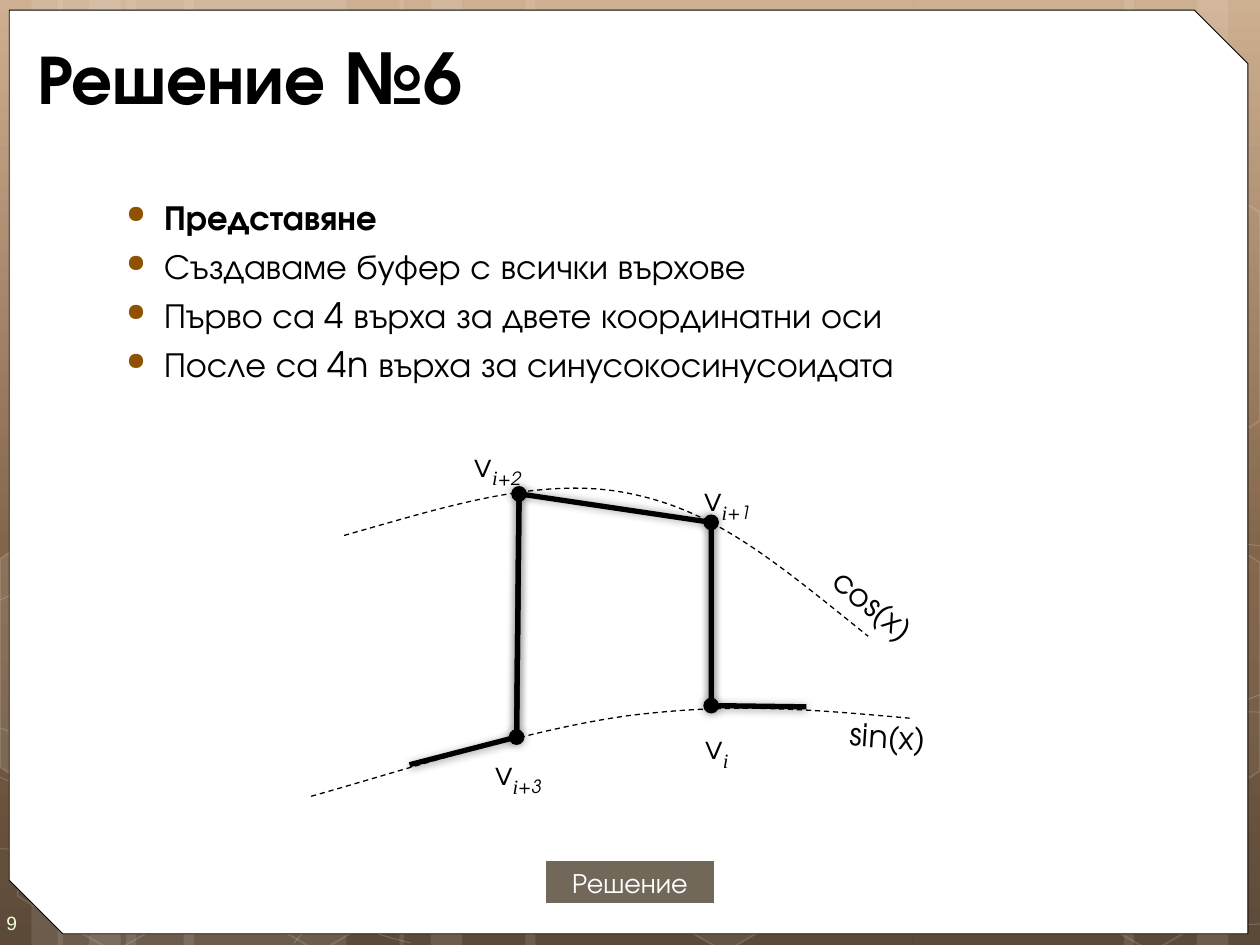
import pptx
import pptx.dml.color
import pptx.enum.dml
import pptx.enum.shapes
import pptx.enum.text
import pptx.oxml.ns
import pptx.util
from lxml import etree

Pt = pptx.util.Pt
qn = pptx.oxml.ns.qn
RGB = pptx.dml.color.RGBColor.from_string
SHAPE = pptx.enum.shapes.MSO_SHAPE
ALIGN = pptx.enum.text.PP_ALIGN
MIDDLE = pptx.enum.text.MSO_ANCHOR.MIDDLE
FIT = pptx.enum.text.MSO_AUTO_SIZE
FONT = "TeX Gyre Adventor"
PAGE_WIDTH, PAGE_HEIGHT = 720, 540
COLORS = {"white": "FFFFFF", "ink": "000000", "bullet": "8F5201", "button": "71685A",
          "number": "EEFFD6", "top": "C8A685", "middle": "705032", "bottom": "4A3622"}


def style(shape, fill=None, line=None, width=1, fill_alpha=100, line_alpha=100):
    """Set fill, outline and their opacity in percent; None means no paint."""
    shape.shadow.inherit = False
    shape.line.width = Pt(width)
    for paint, color, alpha in ((shape.fill, fill, fill_alpha),
                                (shape.line.fill, line, line_alpha)):
        if color is None:
            paint.background()
            continue
        paint.solid()
        paint.fore_color.rgb = RGB(COLORS[color])
        if alpha < 100:
            props = shape.element.spPr
            parent = props if paint is shape.fill else props.find(qn("a:ln"))
            tint = parent.find(qn("a:solidFill")).find(qn("a:srgbClr"))
            etree.SubElement(tint, qn("a:alpha")).set("val", str(alpha * 1000))
    return shape


def trace(points, curved=False, closed=False):
    """Draw an outline; when curved, each three further points make a Bezier."""
    start, *others = [(Pt(x), Pt(y)) for x, y in points]
    builder = page.shapes.build_freeform(*start, scale=1.0)
    builder.add_line_segments(others, close=closed)
    shape = builder.convert_to_shape()
    if curved:
        outline = shape.element.spPr.find(".//" + qn("a:path"))
        steps = outline.findall(qn("a:lnTo"))
        for first in range(0, len(steps), 3):
            bezier = etree.SubElement(outline, qn("a:cubicBezTo"))
            for step in steps[first:first + 3]:
                bezier.append(step[0])
                outline.remove(step)
    return shape


deck = pptx.Presentation()
deck.slide_width, deck.slide_height = Pt(PAGE_WIDTH), Pt(PAGE_HEIGHT)
page = deck.slides.add_slide(deck.slide_layouts[5])
lettering = []  # (span, size, color, font name), formatted together at the end

# Background gradient, top to bottom
backdrop = page.background.fill
backdrop.gradient()
backdrop.gradient_angle = 270
stops = page.element.find(".//" + qn("a:gsLst"))
for old_stop in list(stops):
    stops.remove(old_stop)
for percent, name in ((0, "top"), (62, "middle"), (100, "bottom")):
    stop = etree.SubElement(stops, qn("a:gs"))
    stop.set("pos", str(percent * 1000))
    etree.SubElement(stop, qn("a:srgbClr")).set("val", COLORS[name])

# Stripes: one set of three, repeated along the page and mirrored at the right
for origin, wide, mirrored in ((0, 126, False), (33, 126, False),
                               (0, 126, True), (228.2, 221.8, False)):
    for offset, width in ((72, wide), (0, 36), (18, 59.8)):
        left = origin + offset
        if mirrored:
            left = PAGE_WIDTH - left - width
        stripe = page.shapes.add_shape(SHAPE.RECTANGLE, Pt(left), 0, Pt(width), Pt(PAGE_HEIGHT))
        style(stripe, "white", fill_alpha=10)

# Faint waves from edge to edge: start, two control points, end
for wave in (((0, 485), (240, 496), (560, 460), (720, 397)),
             ((0, 343), (240, 230), (480, 280), (720, 312)),
             ((0, 444), (85, 484), (172, 523), (235, 539)),
             ((0, 416), (240, 500), (480, 540), (720, 528)),
             ((168, 539), (280, 400), (480, 400), (720, 407))):
    style(trace(wave, curved=True), line="white", width=0.5, line_alpha=20)

# Whole hexagons along the bottom
for left, fill in ((2, None), (119, None), (351, "white"), (595, None)):
    hexagon = page.shapes.add_shape(SHAPE.HEXAGON, Pt(left), Pt(426), Pt(126), Pt(109.4))
    hexagon.adjustments[0] = 0.285
    hexagon.rotation = 30
    style(hexagon, fill, "white", fill_alpha=6, line_alpha=12)

# Hexagons cut by a side of the page: (distance from that side, depth)
cut_profile = ((0, 4), (6, 0), (61, 32), (61, 95), (6, 127), (0, 123))
for side, inward, top, fill, alpha in ((0, 1, 315.4, "white", 10),
                                       (PAGE_WIDTH, -1, 317.5, "white", 4),
                                       (PAGE_WIDTH, -1, 117.4, None, 100)):
    corners = [(side + inward * distance, top + depth) for distance, depth in cut_profile]
    style(trace(corners, closed=True), fill, "white", fill_alpha=alpha, line_alpha=12)

# White panel with two snipped corners
panel = page.shapes.add_shape(SHAPE.SNIP_2_DIAG_RECTANGLE,
                              Pt(5.3), Pt(5.8), Pt(707.8), Pt(527.8))
panel.adjustments[0], panel.adjustments[1] = 0, 0.058
style(panel, "white", "ink", 0.5)

# Title, raised above the panel
title = page.shapes.title
panel.element.addnext(title.element)
title.left, title.top, title.width, title.height = Pt(14), Pt(18), Pt(682), Pt(51)
title.text_frame.text = "Решение №6"
title.text_frame.vertical_anchor = MIDDLE
title.text_frame.auto_size = FIT.NONE
heading = title.text_frame.paragraphs[0]
heading.alignment = ALIGN.LEFT
heading.runs[0].font.bold = True
lettering.append((heading.runs[0], 40, "ink", FONT))

# Subheading, then bullets
body = page.shapes.add_textbox(Pt(36.3), Pt(108), Pt(678), Pt(426)).text_frame
body.word_wrap = True
body.text = "\n".join(("Представяне",
                       "Създаваме буфер с всички върхове",
                       "Първо са 4 върха за двете координатни оси",
                       "После са 4n върха за синусокосинусоидата"))
subheading, *bullets = body.paragraphs
subheading.runs[0].font.bold = True
for para in body.paragraphs:
    is_bullet = para is not subheading
    size, margin, indent = (20, 50.4, -21.6) if is_bullet else (28, 5, 0)
    para.space_before = Pt(size * 0.2)
    lettering.append((para.runs[0], size, "ink", FONT))
    props = para._p.get_or_add_pPr()
    props.set("marL", str(Pt(margin)))
    props.set("indent", str(Pt(indent)))
    if is_bullet:
        para.level = 1
        tint = etree.SubElement(props, qn("a:buClr"))
        etree.SubElement(tint, qn("a:srgbClr")).set("val", COLORS["bullet"])
        etree.SubElement(props, qn("a:buSzPct")).set("val", "70000")
        etree.SubElement(props, qn("a:buChar")).set("char", "●")

# Vertices of the strip, counted from v_i
vertices = ((406.4, 403.2), (406.4, 298.5), (296.6, 282.2), (295.2, 421.2))
v0, v1, v2, v3 = vertices

# Strip through the vertices, and its two upright edges with dots
strip = style(trace(((234, 437), v3, v2, v1, v0, (460.8, 403.9))), line="ink", width=3)
shadowed = [strip]
for upper, lower in ((v2, v3), (v1, v0)):
    edge = page.shapes.add_connector(pptx.enum.shapes.MSO_CONNECTOR.STRAIGHT,
                                     *map(Pt, upper + lower))
    edge.line.color.rgb = RGB(COLORS["ink"])
    edge.line.width = Pt(3)
    for end in ("a:headEnd", "a:tailEnd"):
        etree.SubElement(edge.element.spPr.find(qn("a:ln")), qn(end)).set("type", "oval")
    etree.SubElement(edge.element.spPr, qn("a:effectLst"))
    shadowed.append(edge)
for shape in shadowed:
    effects = shape.element.spPr.find(qn("a:effectLst"))
    shadow = etree.SubElement(effects, qn("a:outerShdw"))
    shadow.set("blurRad", str(Pt(5)))
    tint = etree.SubElement(shadow, qn("a:srgbClr"))
    tint.set("val", COLORS["ink"])
    etree.SubElement(tint, qn("a:alpha")).set("val", "40000")

# Dashed sine and cosine curves
sine = ((177.8, 455), (234, 439.2), (301.7, 416.9), (358.6, 409),
        (416.2, 401.8), (455.8, 404.6), (519.8, 410.4))
cosine = ((196.6, 306), (252.7, 290.2), (307.4, 272.2), (357.1, 281.5),
          (407.5, 290.9), (440.6, 319), (496.1, 363.6))
for curve in (sine, cosine):
    graph = style(trace(curve, curved=True), line="ink", width=0.75)
    graph.line.dash_style = pptx.enum.dml.MSO_LINE.DASH

# Labels of vertices and curves: place, width, rotation, text, subscript
for left, top, width, angle, text, subscript in (
        (396, 410.4, 48, 0, "v", ("i",)),
        (395.3, 268.6, 48, 0, "v", ("i", "+1")),
        (264.2, 249.1, 48, 0, "v", ("i", "+2")),
        (275.8, 425.5, 48, 0, "v", ("i", "+3")),
        (478.8, 407.5, 102, 3.7, "sin(x)", ()),
        (462.2, 342, 102, 38.3, "cos(x)", ())):
    label = page.shapes.add_textbox(Pt(left), Pt(top), Pt(width), Pt(28.8))
    label.rotation = angle
    label.text_frame.word_wrap = True
    label.text_frame.auto_size = FIT.SHAPE_TO_FIT_TEXT
    for part in (text, *subscript):
        span = label.text_frame.paragraphs[0].add_run()
        span.text = part
        if part in subscript:
            span.font.italic = True
            span._r.get_or_add_rPr().set("baseline", "-25000")
        size, name = (20, "Times New Roman") if part == "i" else (18, FONT)
        lettering.append((span, size, "ink", name))

# Button and page number
button = style(page.shapes.add_shape(SHAPE.RECTANGLE, Pt(312), Pt(492), Pt(96), Pt(24)), "button")
number = page.shapes.add_textbox(0, Pt(511.2), Pt(41.8), Pt(28.8))
for box, text, size, color, name, margins, align in (
        (button, "Решение", 16, "white", FONT, (0, 3.6, 0, 3.6), ALIGN.CENTER),
        (number, "9", 11, "number", "Arial", (3.6, 10.8, 0, 7.2), ALIGN.LEFT)):
    frame = box.text_frame
    frame.text = text
    frame.word_wrap = True
    frame.vertical_anchor = MIDDLE
    frame.margin_left, frame.margin_top, frame.margin_right, frame.margin_bottom = map(Pt, margins)
    frame.paragraphs[0].alignment = align
    lettering.append((frame.paragraphs[0].runs[0], size, color, name))

# Fonts
for span, size, color, name in lettering:
    span.font.name, span.font.size = name, Pt(size)
    span.font.color.rgb = RGB(COLORS[color])

deck.save("out.pptx")
